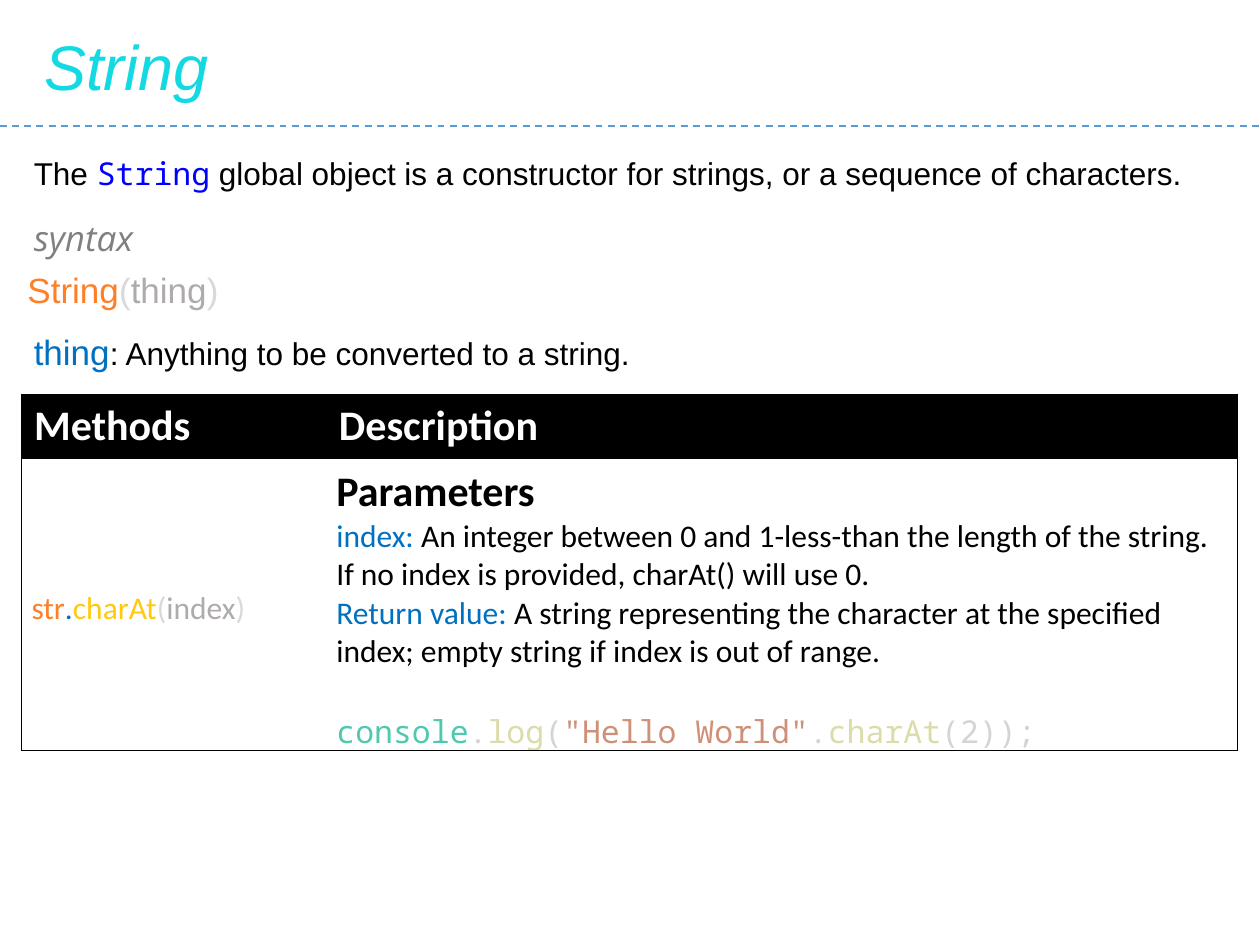
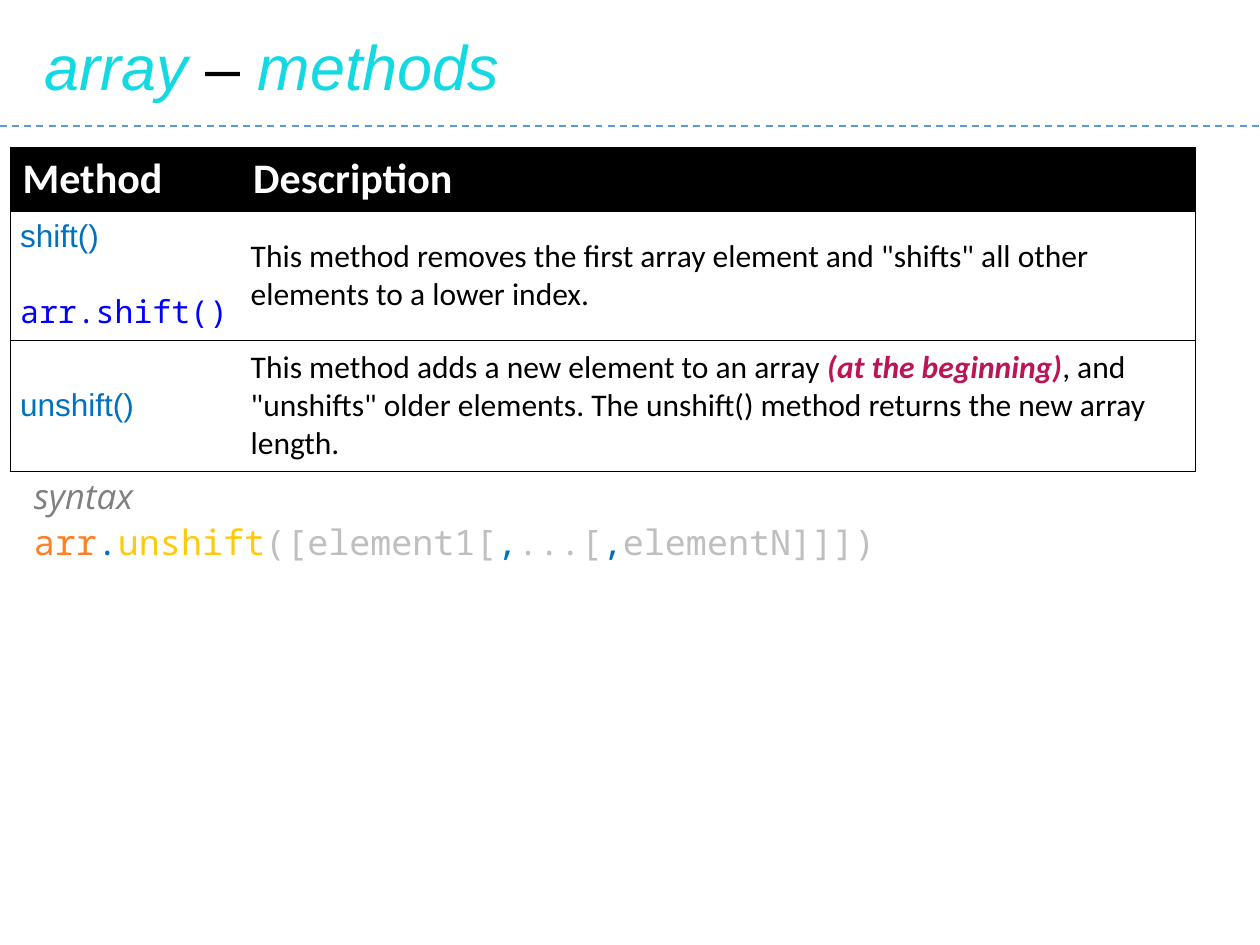
from lxml.etree import SubElement
from pptx import Presentation
from pptx.dml.color import RGBColor
from pptx.enum.dml import MSO_LINE
from pptx.enum.shapes import MSO_CONNECTOR
from pptx.enum.text import MSO_ANCHOR, MSO_AUTO_SIZE, PP_ALIGN
from pptx.oxml.ns import qn
from pptx.util import Inches, Pt

SANS, BODY, MONO, LABEL = "Arial", "Calibri", "Noto Sans Mono", "Open Sans"
BLACK, WHITE, CYAN, RULE = "000000", "FFFFFF", "13D9E3", "5B9BD5"
BLUE, LINK, ORANGE, YELLOW = "0070C0", "0000FF", "FF7F27", "FFC90E"
GRAY, PALE, MID, SILVER = "808080", "D9D9D9", "AFABAB", "BFBFBF"
TEAL, CODE, KHAKI, COPPER, PINK = "4EC9B0", "D4D4D4", "DCDCAA", "CE9178", "BC1454"


def rgb(color):
    return RGBColor.from_string(color)


def add_run(p, text, color=BLACK, font=BODY, size=18, bold=False, italic=False):
    r = p.add_run()
    r.text = text
    f = r.font
    f.name, f.size, f.bold, f.italic = font, Pt(size), bold, italic
    f.color.rgb = rgb(color)


def add_code(p, tokens, font=MONO, size=18):
    for text, color in tokens:
        add_run(p, text, color, font, size)


def new_slide(prs, words):
    s = prs.slides.add_slide(prs.slide_layouts[5])
    title = s.shapes.title
    title.left, title.top = Inches(0.25), Inches(0.17)
    title.width, title.height = Inches(9.42), Inches(0.71)
    tf = title.text_frame
    tf.auto_size = MSO_AUTO_SIZE.NONE
    tf.vertical_anchor = MSO_ANCHOR.TOP
    p = tf.paragraphs[0]
    p.alignment = PP_ALIGN.LEFT
    for i, word in enumerate(words):
        if i:
            add_run(p, " – ", BLACK, SANS, 36)
        add_run(p, word, CYAN, SANS, 36, italic=True)
    rule = s.shapes.add_connector(
        MSO_CONNECTOR.STRAIGHT, 0, Inches(1), prs.slide_width, Inches(1))
    rule.line.color.rgb = rgb(RULE)
    rule.line.width = Pt(1)
    rule.line.dash_style = MSO_LINE.DASH
    SubElement(rule._element.spPr, qn("a:effectLst"))
    return s


def add_line(s, top, left=0.17, height=0.44):
    sp = s.shapes.add_textbox(
        Inches(left), Inches(top), Inches(9.67), Inches(height))
    sp.text_frame.word_wrap = True
    return sp.text_frame.paragraphs[0]


def add_syntax_label(s, top):
    add_run(add_line(s, top), "syntax", GRAY, LABEL, 20, italic=True)


def set_borders(cell, sides):
    tc_pr = cell._tc.get_or_add_tcPr()
    for side in "LRTB":
        ln = SubElement(tc_pr, qn("a:ln" + side), w=str(Pt(0.5)))
        if side in sides:
            fill = SubElement(ln, qn("a:solidFill"))
            SubElement(fill, qn("a:srgbClr"), val=BLACK)
        else:
            SubElement(ln, qn("a:noFill"))


def add_method_table(s, left, top, widths, heights, headings, bottom=0.06):
    frame = s.shapes.add_table(
        len(heights), len(widths), Inches(left), Inches(top),
        Inches(sum(widths)), Inches(sum(heights)))
    table = frame.table
    table.first_row = table.horz_banding = False
    for column, width in zip(table.columns, widths):
        column.width = Inches(width)
    for i, (row, height) in enumerate(zip(table.rows, heights)):
        row.height = Inches(height)
        for j, cell in enumerate(row.cells):
            set_borders(cell, "TB" + "LR"[j])
            if i == 0:
                cell.fill.solid()
                cell.fill.fore_color.rgb = rgb(BLACK)
                add_run(cell.text_frame.paragraphs[0], headings[j],
                        WHITE, size=24, bold=True)
            else:
                cell.fill.background()
                cell.vertical_anchor = MSO_ANCHOR.MIDDLE
                cell.margin_left = cell.margin_right = Inches(0.08)
                cell.margin_top = Inches(0.06)
                cell.margin_bottom = Inches(bottom)
    return table


def first_paragraph(table, row, column):
    return table.cell(row, column).text_frame.paragraphs[0]


def next_paragraph(table, row, column, gap=0):
    p = table.cell(row, column).text_frame.add_paragraph()
    p.space_before = Pt(gap)
    return p


def build_string_slide(prs):
    s = new_slide(prs, ["String"])
    p = add_line(s, 1.17, height=0.4)
    add_run(p, "The ", font=SANS)
    add_run(p, "String", LINK, MONO)
    add_run(p, " global object is a constructor for strings, "
               "or a sequence of characters.", font=SANS)
    add_syntax_label(s, 1.67)
    add_code(add_line(s, 2.08, left=0.12),
             [("String", ORANGE), ("(", PALE), ("thing", MID), (")", PALE)],
             SANS, 20)
    p = add_line(s, 2.57)
    add_run(p, "thing", BLUE, SANS, 20)
    add_run(p, ": Anything to be converted to a string.", font=SANS)

    table = add_method_table(s, 0.17, 3.13, [2.42, 7.23], [0.51, 2.32],
                             ["Methods", "Description"], bottom=0)
    add_code(first_paragraph(table, 1, 0),
             [("str", ORANGE), (".", BLUE), ("charAt", YELLOW),
              ("(", PALE), ("index", MID), (")", PALE)], BODY)
    add_run(first_paragraph(table, 1, 1), "Parameters", size=24, bold=True)
    for term, meaning in [
        ("index: ", "An integer between 0 and 1-less-than the length of the "
                    "string. If no index is provided, charAt() will use 0."),
        ("Return value: ", "A string representing the character at the specified "
                           "index; empty string if index is out of range."),
    ]:
        p = next_paragraph(table, 1, 1)
        add_run(p, term, BLUE)
        add_run(p, meaning)
    add_code(next_paragraph(table, 1, 1, gap=22),
             [("console", TEAL), (".", CODE), ("log", KHAKI), ("(", CODE),
              ('"Hello World"', COPPER), (".", CODE), ("charAt", KHAKI),
              ("(2));", CODE)])


def build_array_slide(prs):
    s = new_slide(prs, ["array", "methods"])
    table = add_method_table(s, 0.08, 1.17, [1.83, 7.58], [0.5, 1.02, 1.02],
                             ["Method", "Description"])
    add_run(first_paragraph(table, 1, 0), "shift()", BLUE, SANS)
    add_run(next_paragraph(table, 1, 0, gap=20.5), "arr.shift()", LINK, MONO)
    add_run(first_paragraph(table, 1, 1),
            'This method removes the first array element and "shifts" '
            "all other elements to a lower index.")
    add_run(first_paragraph(table, 2, 0), "unshift()", BLUE, SANS)
    p = first_paragraph(table, 2, 1)
    add_run(p, "This method adds a new element to an array ")
    add_run(p, "(at the beginning)", PINK, bold=True, italic=True)
    add_run(p, ', and "unshifts" older elements. '
               "The unshift() method returns the new array length.")

    add_syntax_label(s, 3.72)
    add_code(add_line(s, 4.08),
             [("arr", ORANGE), (".", BLUE), ("unshift", YELLOW),
              ("([element1[", SILVER), (",", BLUE), ("...[", SILVER),
              (",", BLUE), ("elementN]]])", SILVER)], size=20)


def main():
    prs = Presentation()
    prs.slide_width, prs.slide_height = Inches(10), Inches(7.5)
    build_string_slide(prs)
    build_array_slide(prs)
    prs.save("out.pptx")


if __name__ == "__main__":
    main()
